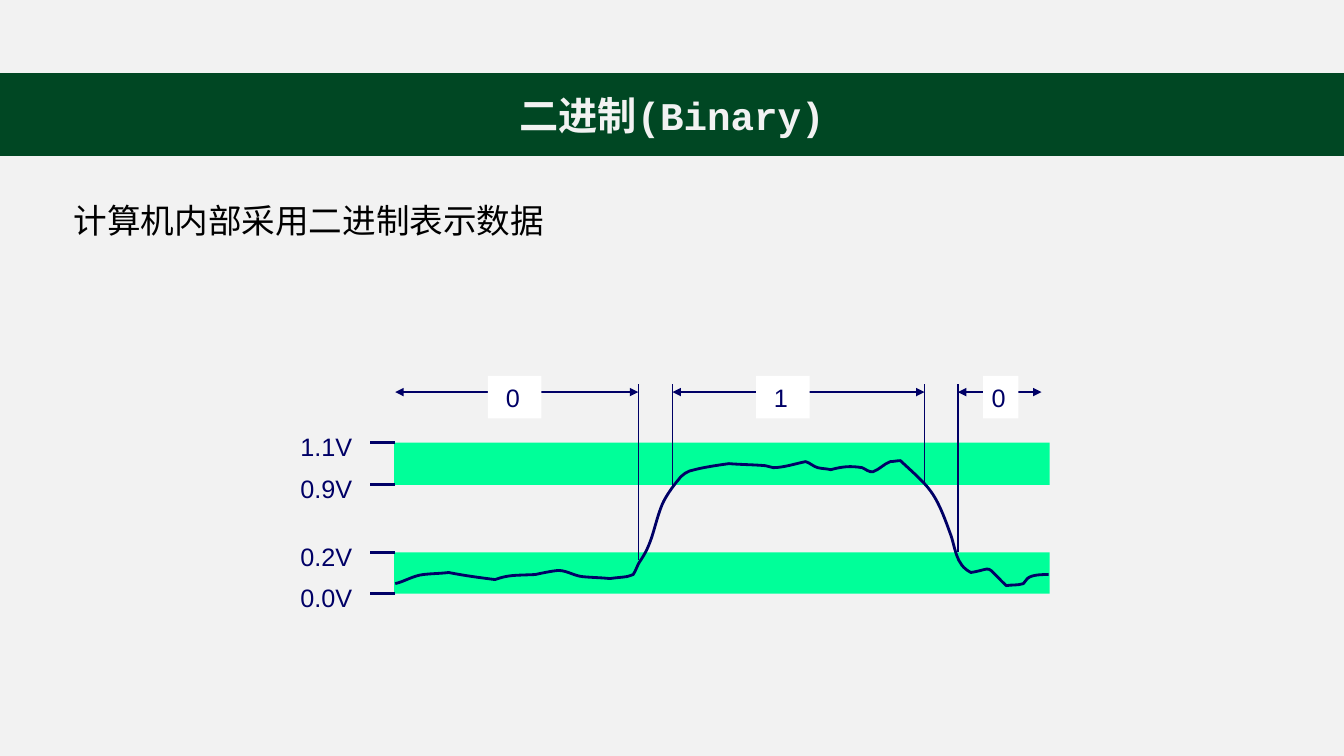
from lxml.etree import Element, SubElement
from pptx import Presentation
from pptx.dml.color import RGBColor
from pptx.enum.shapes import MSO_CONNECTOR, MSO_SHAPE
from pptx.enum.text import MSO_ANCHOR, MSO_AUTO_SIZE, PP_ALIGN
from pptx.oxml.ns import qn
from pptx.util import Inches, Pt

WIDE, HIGH = 13.33, 7.5
COLORS = {"page": "F2F2F2", "bar": "004723", "text": "000000",
          "ink": "000066", "band": "00FF99", "label": "FFFFFF"}
TITLE = "二进制(Binary)"
BODY = "计算机内部采用二进制表示数据"

LEVELS = {"1.1V": 4.39, "0.9V": 4.81, "0.2V": 5.48, "0.0V": 5.89}
BANDS = [("0.2V", "0.0V"), ("1.1V", "0.9V")]
# digit, arrow from, arrow to, label left, label width
SPANS = [("0", 3.92, 6.33, 4.84, 0.53),
         ("1", 6.67, 9.17, 7.5, 0.53),
         ("0", 9.5, 10.33, 9.75, 0.35)]
# x, lower end
GUIDES = [(6.33, 5.56), (6.67, 4.81), (9.17, 4.81), (9.5, 5.48)]
AXIS, TICK, ARROW_Y, GUIDE_TOP, BOX_TOP, BOX_H = 3.92, 0.25, 3.89, 3.81, 3.73, 0.42

START = (3.92, 5.79)
# Bezier pieces: two control points, then the end point
CURVE = [
    (4.01, 5.77, 4.1, 5.71, 4.2, 5.7), (4.28, 5.69, 4.37, 5.69, 4.45, 5.68),
    (4.6, 5.71, 4.75, 5.73, 4.91, 5.75), (5.05, 5.7, 5.11, 5.71, 5.31, 5.7),
    (5.35, 5.69, 5.5, 5.66, 5.54, 5.66), (5.62, 5.66, 5.69, 5.71, 5.77, 5.72),
    (5.86, 5.73, 5.95, 5.73, 6.05, 5.74), (6.11, 5.73, 6.16, 5.73, 6.22, 5.72),
    (6.24, 5.71, 6.27, 5.71, 6.28, 5.7), (6.31, 5.66, 6.32, 5.6, 6.36, 5.55),
    (6.48, 5.37, 6.49, 5.19, 6.57, 5), (6.6, 4.93, 6.67, 4.83, 6.72, 4.77),
    (6.76, 4.71, 6.82, 4.67, 6.89, 4.66), (7, 4.63, 7.23, 4.6, 7.23, 4.6),
    (7.35, 4.61, 7.47, 4.61, 7.59, 4.62), (7.62, 4.62, 7.64, 4.64, 7.67, 4.64),
    (7.77, 4.64, 7.89, 4.6, 7.99, 4.58), (8.03, 4.59, 8.07, 4.63, 8.11, 4.64),
    (8.15, 4.65, 8.2, 4.65, 8.24, 4.66), (8.35, 4.63, 8.43, 4.62, 8.55, 4.64),
    (8.58, 4.65, 8.62, 4.69, 8.66, 4.68), (8.72, 4.66, 8.77, 4.6, 8.83, 4.58),
    (8.86, 4.58, 8.9, 4.57, 8.93, 4.57), (9.22, 4.84, 9.27, 4.86, 9.42, 5.28),
    (9.48, 5.43, 9.47, 5.6, 9.63, 5.68), (9.87, 5.64, 9.75, 5.59, 9.98, 5.81),
    (10.03, 5.8, 10.09, 5.81, 10.15, 5.79), (10.17, 5.78, 10.17, 5.75, 10.19, 5.74),
    (10.23, 5.7, 10.34, 5.7, 10.4, 5.7),
]


def color(name):
    return RGBColor.from_string(COLORS[name])


def write(frame, text, size, font, tint, align=PP_ALIGN.LEFT, bold=False):
    para = frame.paragraphs[0]
    para.alignment = align
    para.space_before = Pt(0)
    run = para.add_run()
    run.text = text
    run.font.size, run.font.name, run.font.bold = Pt(size), font, bold
    run.font.color.rgb = color(tint)
    return para


def inset(frame, left, top, right, low):
    frame.margin_left, frame.margin_top = Inches(left), Inches(top)
    frame.margin_right, frame.margin_bottom = Inches(right), Inches(low)


def place(shape, *box):
    shape.left, shape.top, shape.width, shape.height = map(Inches, box)


def add_rect(owner, fill, *box):
    rect = owner.shapes.add_shape(MSO_SHAPE.RECTANGLE, *map(Inches, box))
    rect.shadow.inherit = False
    rect.fill.solid()
    rect.fill.fore_color.rgb = color(fill)
    rect.line.fill.background()
    return rect


def add_line(group, x1, y1, x2, y2, width, heads=False):
    line = group.shapes.add_connector(
        MSO_CONNECTOR.STRAIGHT, *map(Inches, (x1, y1, x2, y2)))
    line.line.color.rgb = color("ink")
    line.line.width = Pt(width)
    if heads:
        for end in ("a:headEnd", "a:tailEnd"):
            SubElement(line.line._get_or_add_ln(), qn(end), type="triangle")
    SubElement(line._element.spPr, qn("a:effectLst"))


def bend(wave):
    """Turn each straight piece of the wave into its Bezier curve."""
    pieces = list(wave._element.iter(qn("a:lnTo")))
    for piece, (ax, ay, bx, by, _, _) in zip(pieces, CURVE):
        piece.tag = qn("a:cubicBezTo")
        for spot, (x, y) in enumerate([(ax, ay), (bx, by)]):
            point = Element(qn("a:pt"), x=str(Inches(x) - wave.left),
                            y=str(Inches(y) - wave.top))
            piece.insert(spot, point)


def add_wave(group):
    pen = group.shapes.build_freeform(*map(Inches, START))
    ends = [(Inches(piece[4]), Inches(piece[5])) for piece in CURVE]
    pen.add_line_segments(ends, close=False)
    wave = pen.convert_to_shape()
    bend(wave)
    wave.shadow.inherit = False
    wave.fill.background()
    wave.line.color.rgb = color("ink")
    wave.line.width = Pt(2)


def add_page(slide):
    """Lay the grey page behind everything else."""
    page = add_rect(slide, "page", 0, 0, WIDE, HIGH)
    slide.shapes._spTree.insert(2, page._element)


def add_head(slide):
    title = slide.shapes.title
    place(title, 0, 0.73, WIDE, 0.81)
    title.fill.solid()
    title.fill.fore_color.rgb = color("bar")
    title.line.color.rgb = color("bar")
    title.line.width = Pt(1)
    title.text_frame.vertical_anchor = MSO_ANCHOR.MIDDLE
    write(title.text_frame, TITLE, 28, "Courier New", "page", PP_ALIGN.CENTER, True)

    body = slide.placeholders[1]
    place(body, 0.73, 1.98, 11.82, 0.4)
    inset(body.text_frame, 0, 0, 0, 0)
    para = write(body.text_frame, BODY, 24, "Courier New", "text")
    props = para._p.get_or_add_pPr()
    props.set("marL", "0")
    props.set("indent", "0")
    SubElement(props, qn("a:buNone"))


def add_signal(slide):
    group = slide.shapes.add_group_shape()
    for top, low in BANDS:
        add_rect(group, "band", 3.91, LEVELS[top], 6.5, LEVELS[low] - LEVELS[top])
    add_wave(group)
    for name, y in LEVELS.items():
        add_line(group, AXIS, y, AXIS - TICK, y, 2)
        box = group.shapes.add_textbox(
            *map(Inches, (AXIS - 1, y - 0.17, 0.69, 0.41)))
        inset(box.text_frame, 0.06, 0.06, 0.1, 0.06)
        box.text_frame.word_wrap = False
        box.text_frame.auto_size = MSO_AUTO_SIZE.SHAPE_TO_FIT_TEXT
        write(box.text_frame, name, 18, "Arial", "ink")
    for x, low in GUIDES:
        add_line(group, x, GUIDE_TOP, x, low, 1)
    for digit, left, right, box_x, box_w in SPANS:
        add_line(group, left, ARROW_Y, right, ARROW_Y, 2, heads=True)
        label = add_rect(group, "label", box_x, BOX_TOP, box_w, BOX_H)
        inset(label.text_frame, 0.06, 0.06, 0.1, 0.06)
        label.text_frame.vertical_anchor = MSO_ANCHOR.TOP
        write(label.text_frame, digit, 18, "Arial", "ink", PP_ALIGN.CENTER)


def main():
    deck = Presentation()
    deck.slide_width, deck.slide_height = Inches(WIDE), Inches(HIGH)
    slide = deck.slides.add_slide(deck.slide_layouts[1])
    add_page(slide)
    add_head(slide)
    add_signal(slide)
    deck.save("out.pptx")


if __name__ == "__main__":
    main()
